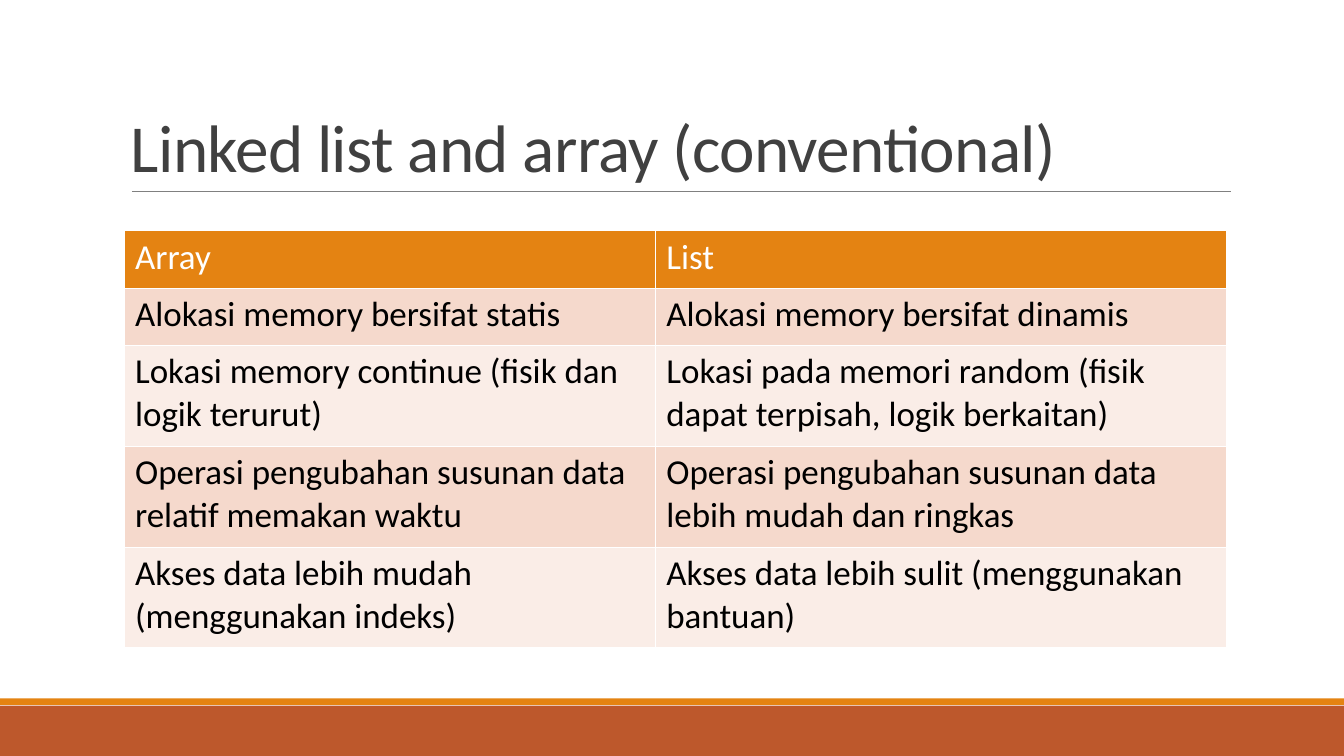
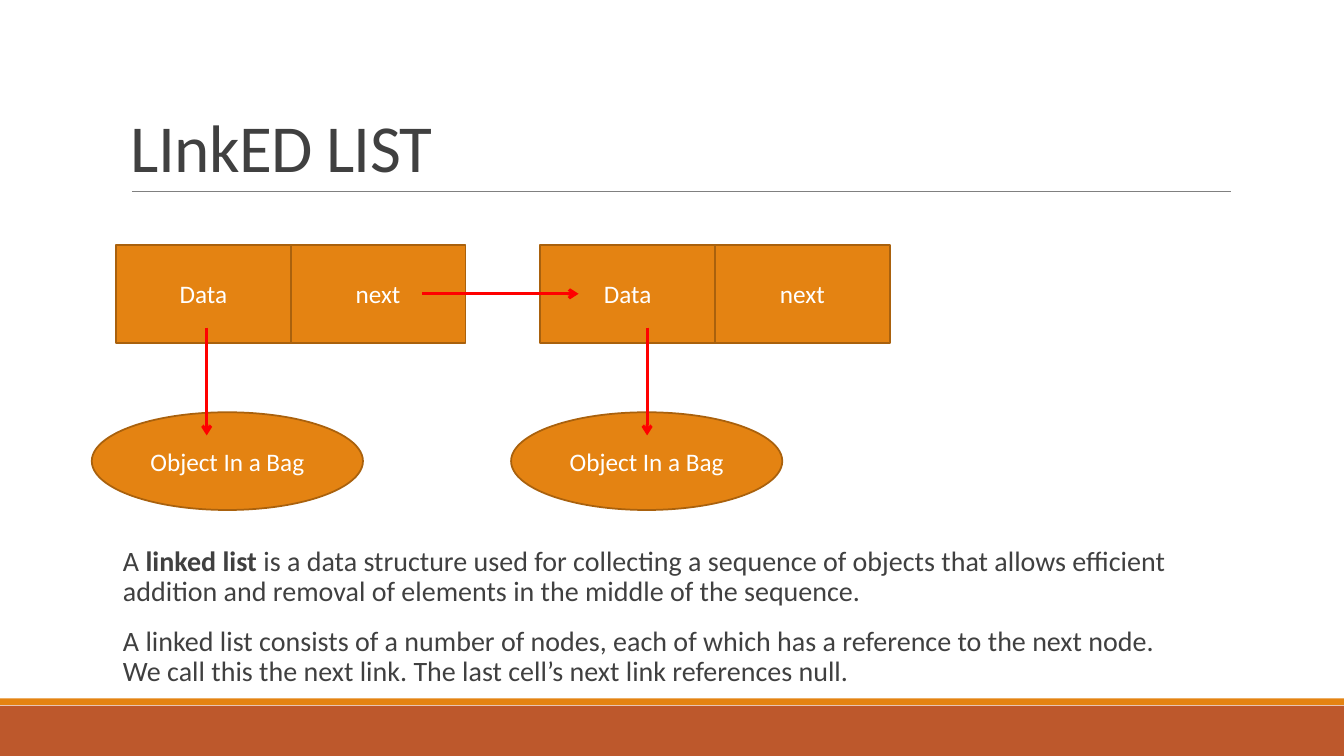
"""Build two slides that compare arrays with linked lists."""
from dataclasses import dataclass

from lxml import etree
from pptx import Presentation
from pptx import util as u
from pptx.dml.color import RGBColor
from pptx.enum import shapes, text
from pptx.oxml.ns import qn

WIDTH, HEIGHT = u.Inches(13.333), u.Inches(7.5)
FONT = "Calibri"
ORANGE, RUST, BROWN = "E48312", "BD582C", "A9610D"
WHITE, BLACK, DARK, GREY, RED = "FFFFFF", "000000", "404040", "808080", "FF0000"
ROW_TINTS = ("F5D9CC", "FAEDE7")

COMPARISON = (
    ("Array", "List"),
    ("Alokasi memory bersifat statis", "Alokasi memory bersifat dinamis"),
    ("Lokasi memory continue (fisik dan logik terurut)",
     "Lokasi pada memori random (fisik dapat terpisah, logik berkaitan)"),
    ("Operasi pengubahan susunan data relatif memakan waktu",
     "Operasi pengubahan susunan data lebih mudah dan ringkas"),
    ("Akses data lebih mudah (menggunakan indeks)",
     "Akses data lebih sulit (menggunakan bantuan)"),
)
COLUMN_SHARES = (39.53, 42.52)
ROW_SHARES = (7.6, 7.6, 13.33, 13.33, 13.33)

DEFINITION = (
    (("A ", False), ("linked list ", True),
     ("is a data structure used for collecting a sequence of objects that allows "
      "efficient addition and removal of elements in the middle of the sequence.", False)),
    (("A linked list consists of a number of nodes, each of which has a reference to the "
      "next node. We call this the next link. The last cell’s next link references null.",
      False),),
)


@dataclass(frozen=True)
class Box:
    """A rectangle in percent of the slide's width and height."""
    left: float
    top: float
    width: float
    height: float

    def lengths(self) -> tuple:
        return across(self.left), down(self.top), across(self.width), down(self.height)


@dataclass(frozen=True)
class Node:
    """A list node, the object it holds and the arrow between them."""
    left: float
    object_left: float
    arrow_x: float


NODES = (Node(8.63, 6.83, 15.38), Node(40.2, 38.03, 48.15))
NODE_TOP, FIELD_WIDTH, SHAPE_HEIGHT = 32.4, 13, 12.93
OBJECT_TOP, OBJECT_WIDTH = 54.53, 20.18
NEXT_LINK = (31.43, 43.05)
DATA_LINK = (43.33, 57.6)


def across(share: float) -> int:
    return round(WIDTH * share / 100)


def down(share: float) -> int:
    return round(HEIGHT * share / 100)


def colour(code: str) -> RGBColor:
    return RGBColor.from_string(code)


def style_runs(paragraph, size: float, code: str) -> None:
    for run in paragraph.runs:
        run.font.name, run.font.size = FONT, u.Pt(size)
        run.font.color.rgb = colour(code)


def add_block(slide, kind, box: Box, fill: str, outline: str = "", label: str = ""):
    block = slide.shapes.add_shape(kind, *box.lengths())
    block.shadow.inherit = False
    block.fill.solid()
    block.fill.fore_color.rgb = colour(fill)
    if outline:
        block.line.color.rgb, block.line.width = colour(outline), u.Pt(1.25)
    else:
        block.line.fill.background()
    if label:
        frame = block.text_frame
        frame.text = label
        frame.vertical_anchor = text.MSO_ANCHOR.MIDDLE
        frame.paragraphs[0].alignment = text.PP_ALIGN.CENTER
        style_runs(frame.paragraphs[0], 18, WHITE)


def add_line(slide, start: tuple, end: tuple, code: str, width: float,
             arrow: bool = False) -> None:
    line = slide.shapes.add_connector(
        shapes.MSO_CONNECTOR.STRAIGHT,
        across(start[0]), down(start[1]), across(end[0]), down(end[1]))
    line.line.color.rgb, line.line.width = colour(code), u.Pt(width)
    properties = line._element.spPr
    if arrow:
        etree.SubElement(properties.find(qn("a:ln")), qn("a:tailEnd"), type="arrow")
    etree.SubElement(properties, qn("a:effectLst"))


def add_frame(slide, box: Box):
    frame = slide.shapes.add_textbox(*box.lengths()).text_frame
    frame.word_wrap = True
    return frame


def add_titled_slide(deck, heading: str):
    slide = deck.slides.add_slide(deck.slide_layouts[6])
    rectangle = shapes.MSO_SHAPE.RECTANGLE
    add_block(slide, rectangle, Box(0, 93.33, 100, 6.67), RUST)
    add_block(slide, rectangle, Box(0, 92.4, 100, 0.85), ORANGE)
    add_line(slide, (9.82, 25.33), (91.6, 25.33), GREY, 0.5)
    frame = add_frame(slide, Box(9, 4.13, 82.5, 21.2))
    frame.text = heading
    frame.vertical_anchor = text.MSO_ANCHOR.BOTTOM
    title = frame.paragraphs[0]
    title.line_spacing = 0.85
    style_runs(title, 48, DARK)
    title.runs[0]._r.get_or_add_rPr().set("spc", "-50")
    return slide


def add_borders(cell, code: str, width: float) -> None:
    properties = cell._tc.get_or_add_tcPr()
    for index, side in enumerate(("lnL", "lnR", "lnT", "lnB")):
        border = etree.Element(qn(f"a:{side}"), w=str(u.Pt(width)))
        fill = etree.SubElement(border, qn("a:solidFill"))
        etree.SubElement(fill, qn("a:srgbClr"), val=code)
        properties.insert(index, border)


def add_comparison(slide) -> None:
    box = Box(9.23, 30.53, sum(COLUMN_SHARES), sum(ROW_SHARES))
    table = slide.shapes.add_table(
        len(ROW_SHARES), len(COLUMN_SHARES), *box.lengths()).table
    for column, share in zip(table.columns, COLUMN_SHARES):
        column.width = across(share)
    for number, (row, share, entries) in enumerate(
            zip(table.rows, ROW_SHARES, COMPARISON)):
        row.height = down(share)
        for cell, entry in zip(row.cells, entries):
            cell.text = entry
            cell.margin_left = cell.margin_right = u.Inches(0.11)
            cell.fill.solid()
            cell.fill.fore_color.rgb = colour(ROW_TINTS[(number - 1) % 2] if number else ORANGE)
            add_borders(cell, WHITE, 1)
            paragraph = cell.text_frame.paragraphs[0]
            style_runs(paragraph, 25, BLACK if number else WHITE)
            paragraph.runs[0].font.bold = False


def add_diagram(slide) -> None:
    for node in NODES:
        for column, label in enumerate(("Data", "next")):
            field = Box(node.left + column * FIELD_WIDTH, NODE_TOP, FIELD_WIDTH, SHAPE_HEIGHT)
            add_block(slide, shapes.MSO_SHAPE.RECTANGLE, field, ORANGE, BROWN, label)
        held = Box(node.object_left, OBJECT_TOP, OBJECT_WIDTH, SHAPE_HEIGHT)
        add_block(slide, shapes.MSO_SHAPE.OVAL, held, ORANGE, BROWN, "Object In a Bag")
        start, end = ((node.arrow_x, y) for y in DATA_LINK)
        add_line(slide, start, end, RED, 2.25, arrow=True)
    start, end = ((x, NODE_TOP + SHAPE_HEIGHT / 2) for x in NEXT_LINK)
    add_line(slide, start, end, RED, 2.25, arrow=True)


def add_definition(slide) -> None:
    frame = add_frame(slide, Box(9.15, 71.73, 78.98, 20.13))
    frame.margin_left = frame.margin_right = 0
    for number, pieces in enumerate(DEFINITION):
        paragraph = frame.add_paragraph() if number else frame.paragraphs[0]
        paragraph.line_spacing = 0.9
        paragraph.space_before, paragraph.space_after = u.Pt(12), u.Pt(2)
        for wording, bold in pieces:
            run = paragraph.add_run()
            run.text, run.font.bold = wording, bold
        style_runs(paragraph, 20, DARK)


def main() -> None:
    deck = Presentation()
    deck.slide_width, deck.slide_height = WIDTH, HEIGHT
    add_comparison(add_titled_slide(deck, "Linked list and array (conventional)"))
    linked_list = add_titled_slide(deck, "LInkED LIST")
    add_diagram(linked_list)
    add_definition(linked_list)
    deck.save("out.pptx")


if __name__ == "__main__":
    main()
